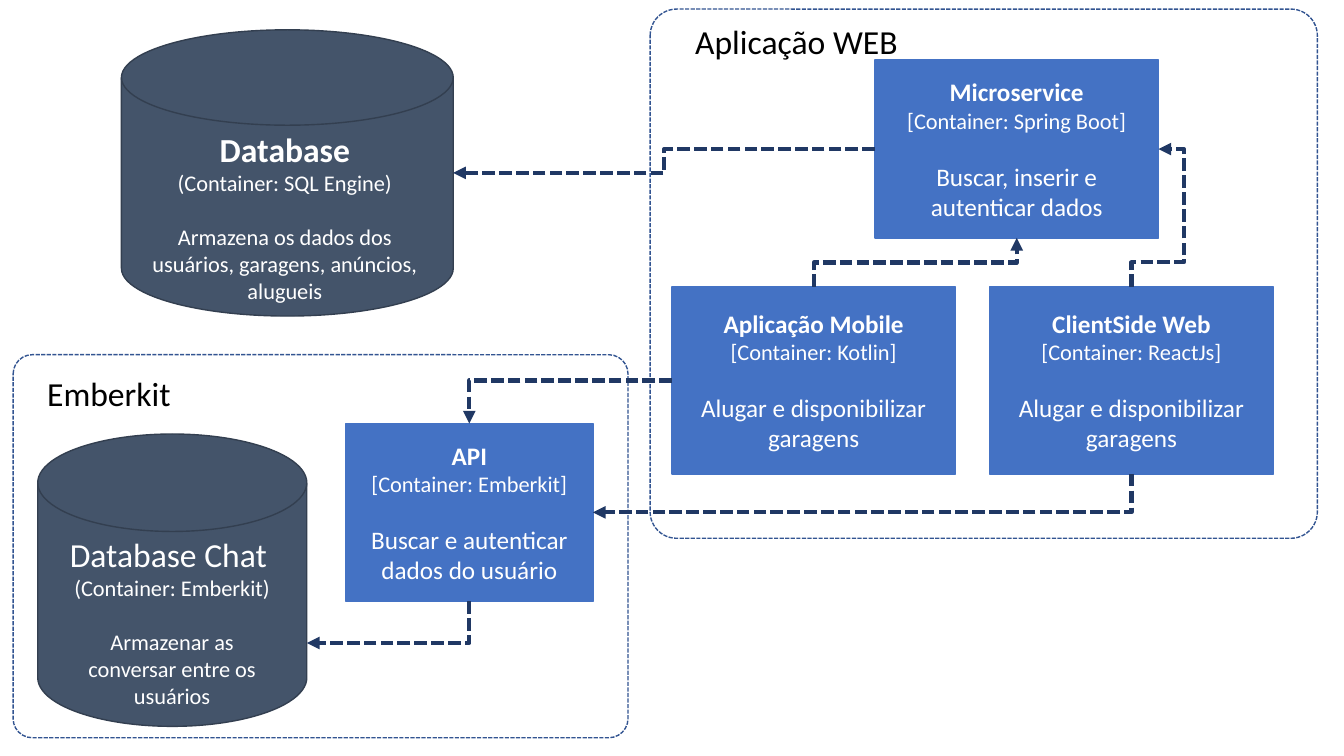
import pptx
import pptx.util
import pptx.dml.color
import pptx.enum.dml
import pptx.enum.shapes
import pptx.enum.text
import pptx.oxml.ns
import lxml.etree

Pt = pptx.util.Pt
SHAPES = pptx.enum.shapes.MSO_SHAPE
FONT = "Calibri"
WHITE, BLACK = "FFFFFF", "000000"
BLUE, SLATE, SLATE_EDGE = "4472C4", "44546A", "333F50"
FRAME_EDGE, ARROW = "325491", "203864"
BLANK_LINE = 19.5

# Rectangles are left, top, width, height in points.
FRAMES = [
    ((464.4, 6.5, 476.6, 378), "Aplicação WEB", (489.5, 11.5, 319, 36)),
    ((9.4, 253.4, 439.2, 273.6), "Emberkit", (26.6, 262.8, 357, 36)),
]
# Each database: drum, text area, name, name is bold, container, description
DATABASES = {
    "database": ((86.75, 21.25, 237, 204.5), (93, 88.5, 221, 133),
                 "Database", True, "(Container: SQL Engine)",
                 "Armazena os dados dos usuários, garagens, anúncios, alugueis"),
    "chat": ((27, 310, 192.2, 208.8), (41, 377.5, 164, 133),
             "Database Chat ", False, "(Container: Emberkit)",
             "Armazenar as conversar entre os usuários"),
}
# Each service: box, name, container, description
SERVICES = {
    "microservice": ((625, 43, 202.5, 127), "Microservice",
                     "[Container: Spring Boot]", "Buscar, inserir e autenticar dados"),
    "client": ((707, 205, 202.5, 133.5), "ClientSide Web",
               "[Container: ReactJs]", "Alugar e disponibilizar garagens"),
    "mobile": ((480, 205, 202.5, 133.5), "Aplicação Mobile",
               "[Container: Kotlin]", "Alugar e disponibilizar garagens"),
    "api": ((247, 302.5, 176.5, 127), "API",
            "[Container: Emberkit]", "Buscar e autenticar dados do usuário"),
}
# Sides as fractions of width and height
SIDES = {"left": (0, 0.5), "right": (1, 0.5), "top": (0.5, 0),
         "bottom": (0.5, 1), "lower right": (1, 0.715)}
# Each arrow: start, its side, end, its side, connector preset, bend positions
ARROWS = [
    ("mobile", "top", "microservice", "bottom", "bentConnector3", [50000]),
    ("client", "top", "microservice", "right", "bentConnector4", [17900, 194400]),
    ("microservice", "left", "database", "right", "bentConnector3", [50000]),
    ("mobile", "left", "api", "top", "bentConnector2", []),
    ("client", "bottom", "api", "right", "bentConnector2", []),
    ("api", "bottom", "chat", "lower right", "bentConnector2", []),
]
RECTS = {name: part[0] for name, part in {**DATABASES, **SERVICES}.items()}


def colour(code):
    """Turn a hex string into a colour."""
    return pptx.dml.color.RGBColor.from_string(code)


def set_line(line, code, width, dashed=False):
    """Set the colour, width and dash of an outline or connector."""
    line.color.rgb = colour(code)
    line.width = Pt(width)
    if dashed:
        line.dash_style = pptx.enum.dml.MSO_LINE.SQUARE_DOT


def add_block(page, kind, rect, fill, edge, dashed=False):
    """Add a preset shape without shadow."""
    block = page.shapes.add_shape(kind, *map(Pt, rect))
    block.shadow.inherit = False
    if fill:
        block.fill.solid()
        block.fill.fore_color.rgb = colour(fill)
    else:
        block.fill.background()
    set_line(block.line, edge, 1, dashed)
    return block


def add_drum(page, rect):
    """Add an upright drum that fills the given rectangle."""
    left, top, width, height = rect
    shift = (width - height) / 2
    drum = add_block(page, SHAPES.FLOWCHART_DIRECT_ACCESS_STORAGE,
                     (left + shift, top - shift, height, width), SLATE, SLATE_EDGE)
    drum.rotation = 270


def write(box, lines, code, centred=True):
    """Write lines of (text, size, bold, space before) into a shape."""
    frame = box.text_frame
    frame.word_wrap = True
    for index, (text, size, bold, space) in enumerate(lines):
        para = frame.paragraphs[0] if index == 0 else frame.add_paragraph()
        align = pptx.enum.text.PP_ALIGN
        para.alignment = align.CENTER if centred else align.LEFT
        para.space_before = Pt(space)
        span = para.add_run()
        span.text = text
        span.font.name = FONT
        span.font.size = Pt(size)
        span.font.bold = bold
        span.font.color.rgb = colour(code)


def anchor(name, side):
    """Return the point on one side of a named part."""
    left, top, width, height = RECTS[name]
    across, down = SIDES[side]
    return left + across * width, top + down * height


def add_arrow(page, start, start_side, end, end_side, preset, bends):
    """Add a dashed elbow arrow, turned a quarter if it starts vertically."""
    x1, y1 = anchor(start, start_side)
    x2, y2 = anchor(end, end_side)
    vertical = start_side in ("top", "bottom")
    if vertical:
        mid_x, mid_y = (x1 + x2) / 2, (y1 + y2) / 2
        half_x, half_y = (y2 - y1) / 2, (x1 - x2) / 2
        x1, y1 = mid_x - half_x, mid_y - half_y
        x2, y2 = mid_x + half_x, mid_y + half_y
    arrow = page.shapes.add_connector(
        pptx.enum.shapes.MSO_CONNECTOR.ELBOW, *map(Pt, (x1, y1, x2, y2)))
    set_line(arrow.line, ARROW, 3, dashed=True)
    qn = pptx.oxml.ns.qn
    props = arrow._element.spPr
    if vertical:
        props.find(qn("a:xfrm")).set("rot", "5400000")
    geometry = props.find(qn("a:prstGeom"))
    geometry.set("prst", preset)
    guides = geometry.find(qn("a:avLst"))
    for number, bend in enumerate(bends, 1):
        lxml.etree.SubElement(guides, qn("a:gd"), name=f"adj{number}", fmla=f"val {bend}")
    lxml.etree.SubElement(props.find(qn("a:ln")), qn("a:tailEnd"), type="triangle")
    lxml.etree.SubElement(props, qn("a:effectLst"))


deck = pptx.Presentation()
deck.slide_width, deck.slide_height = Pt(960), Pt(540)
page = deck.slides.add_slide(deck.slide_layouts[6])

for rect, label, label_rect in FRAMES:
    frame = add_block(page, SHAPES.ROUNDED_RECTANGLE, rect, None, FRAME_EDGE, dashed=True)
    frame.adjustments[0] = 0.05
    box = page.shapes.add_textbox(*map(Pt, label_rect))
    write(box, [(label, 24, False, 0)], BLACK, centred=False)

for rect, text_rect, name, bold, container, description in DATABASES.values():
    add_drum(page, rect)
    box = page.shapes.add_textbox(*map(Pt, text_rect))
    write(box, [(name, 24, bold, 0), (container, 16, False, 0),
                (description, 16, False, BLANK_LINE)], WHITE)

for rect, name, container, description in SERVICES.values():
    box = add_block(page, SHAPES.RECTANGLE, rect, BLUE, BLUE)
    box.text_frame.vertical_anchor = pptx.enum.text.MSO_ANCHOR.MIDDLE
    write(box, [(name, 18, True, 0), (container, 16, False, 0),
                (description, 18, False, BLANK_LINE)], WHITE)

for route in ARROWS:
    add_arrow(page, *route)

deck.save("out.pptx")
